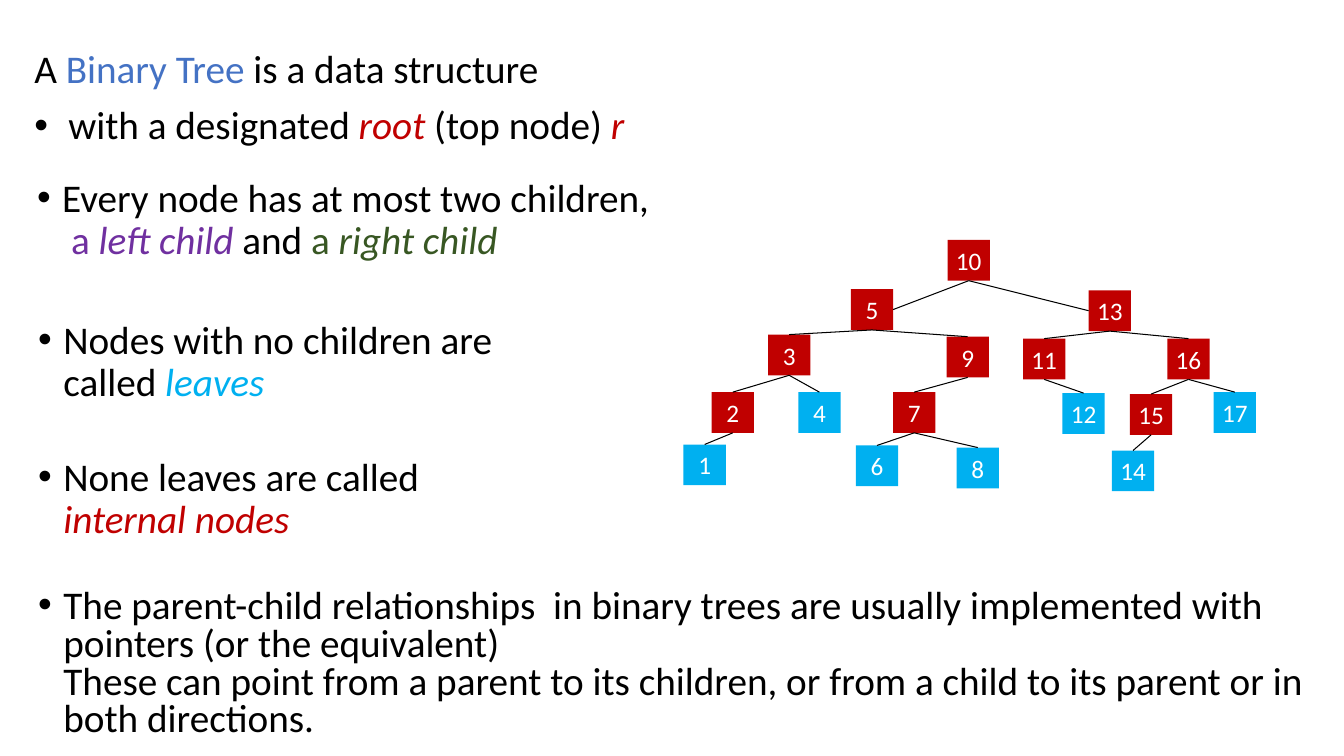
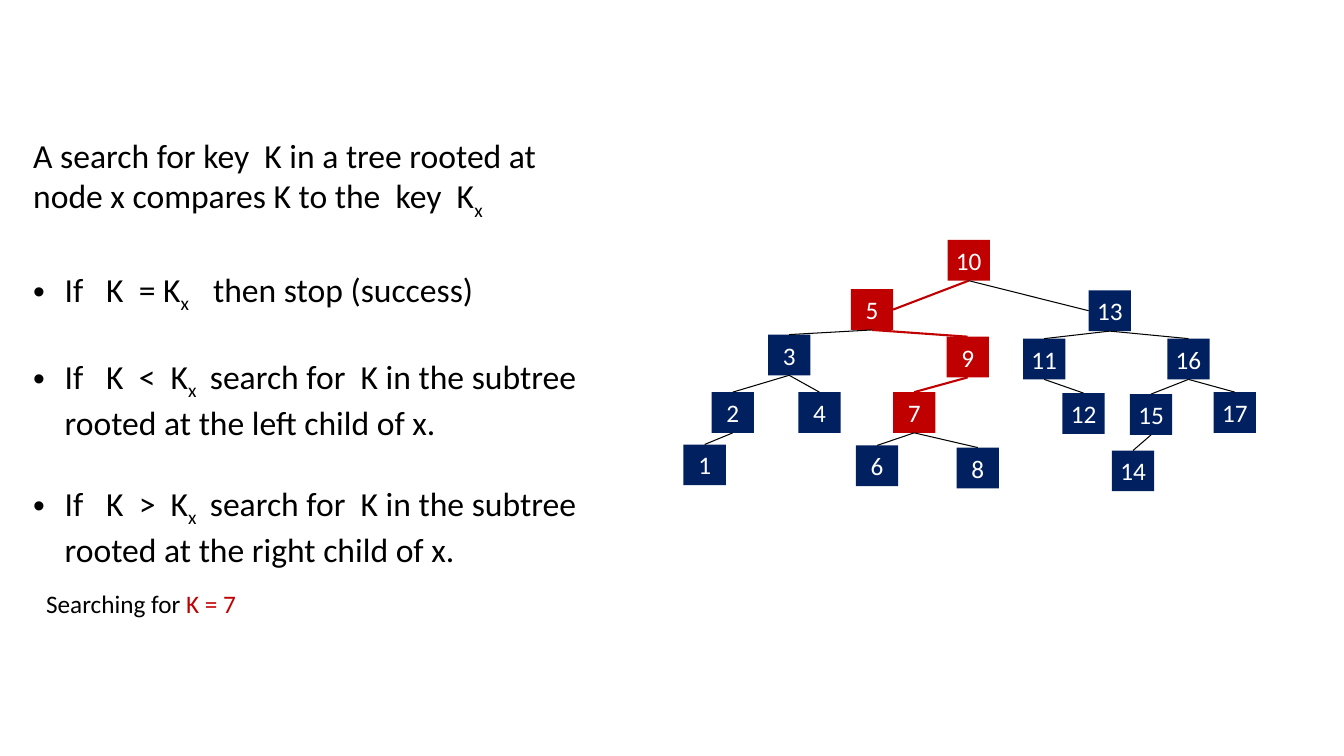
from pptx import Presentation
from pptx.dml.color import RGBColor
from pptx.enum import shapes, text
from pptx.oxml.xmlchemy import OxmlElement
from pptx.util import Pt

FONT = "Calibri"
COLORS = {
    "black": "000000", "white": "FFFFFF", "blue": "4472C4", "red": "C00000",
    "purple": "7030A0", "green": "385723", "sky": "00B0F0", "navy": "002060",
}
TITLE_AND_CONTENT, BLANK = 1, 6

# Tree: key -> left and top of its node
NODE_W, NODE_H = 30.24, 29.1
NODES = {
    10: (676.8, 171.4), 5: (607.7, 206.6), 13: (777.6, 207.4),
    3: (548.6, 239), 9: (676.1, 240.5), 11: (730.8, 241.9), 16: (833.8, 241.9),
    2: (508.3, 280.1), 4: (570.2, 280.1), 7: (637.9, 280.1),
    12: (758.9, 280.8), 15: (807.1, 281.5), 17: (866.9, 280.1),
    1: (488.2, 317.5), 6: (611.3, 318.2), 8: (683.3, 319.7), 14: (794.2, 321.8),
}
CHILDREN = {
    10: (5, 13), 5: (3, 9), 13: (11, 16), 3: (2, 4), 9: (7,),
    11: (12,), 16: (15, 17), 2: (1,), 7: (6, 8), 15: (14,),
}
ROOT = 10
TOP, LEFT, BOTTOM, RIGHT = range(4)  # connection sites of a rectangle


def rgb(name):
    return RGBColor.from_string(COLORS[name])


def add_run(p, words, size, color="black", style=""):
    """Add words to p; a newline becomes a line break."""
    for i, piece in enumerate(words.split("\n")):
        if i:
            p.add_line_break()
        if not piece:
            continue
        r = p.add_run()
        r.text = piece
        r.font.name, r.font.size = FONT, Pt(size)
        r.font.color.rgb = rgb(color)
        if style == "italic":
            r.font.italic = True
        elif style == "sub":
            r._r.get_or_add_rPr().set("baseline", "-25000")


def set_bullet(p, indent):
    """Hang a bullet by indent points; zero means no bullet."""
    pPr = p._p.get_or_add_pPr()
    pPr.set("marL", str(Pt(indent)))
    pPr.set("indent", str(-Pt(indent)))
    if not indent:
        pPr.append(OxmlElement("a:buNone"))
        return
    font, char = OxmlElement("a:buFont"), OxmlElement("a:buChar")
    font.set("typeface", "Arial")
    char.set("char", "•")
    pPr.append(font)
    pPr.append(char)


def add_paragraph(tf, runs, size, indent=0, before=0, spacing=1.0):
    p = tf.paragraphs[0]
    if p.runs:
        p = tf.add_paragraph()
    p.line_spacing, p.space_before = spacing, Pt(before)
    set_bullet(p, indent)
    for run in runs:
        add_run(p, run[0], size, *run[1:])


def add_text_box(s, left, top, width, height):
    tf = s.shapes.add_textbox(Pt(left), Pt(top), Pt(width), Pt(height)).text_frame
    tf.word_wrap = True
    return tf


def add_node(s, key, fill):
    left, top = NODES[key]
    sp = s.shapes.add_shape(shapes.MSO_SHAPE.RECTANGLE,
                            Pt(left), Pt(top), Pt(NODE_W), Pt(NODE_H))
    sp.name = f"Node {key}"
    sp.shadow.inherit = False
    sp.fill.solid()
    sp.fill.fore_color.rgb = rgb(fill)
    sp.line.fill.background()
    tf = sp.text_frame
    tf.word_wrap = False
    tf.vertical_anchor = text.MSO_ANCHOR.MIDDLE
    p = tf.paragraphs[0]
    p.alignment = text.PP_ALIGN.CENTER
    add_run(p, str(key), 18, "white")
    return sp


def add_edge(s, parent, child, site, color, width):
    line = s.shapes.add_connector(shapes.MSO_CONNECTOR.STRAIGHT, 0, 0, 0, 0)
    line.begin_connect(parent, BOTTOM)
    line.end_connect(child, site)
    line.line.color.rgb = rgb(color)
    line.line.width = Pt(width)
    line._element.spPr.append(OxmlElement("a:effectLst"))


def add_tree(s, fill_of, search_path=()):
    """Draw the tree; edges along search_path stand out."""
    nodes = {key: add_node(s, key, fill_of(key)) for key in NODES}
    for parent, children in CHILDREN.items():
        for child in children:
            site = TOP
            if parent == ROOT:
                site = RIGHT if child < parent else LEFT
            found = parent in search_path and child in search_path
            color, width = ("red", 1.5) if found else ("black", 0.75)
            add_edge(s, nodes[parent], nodes[child], site, color, width)


def definition_slide(prs):
    s = prs.slides.add_slide(prs.slide_layouts[TITLE_AND_CONTENT])
    title, body = s.placeholders
    title._element.getparent().remove(title._element)

    # Definition
    body.left, body.top, body.width, body.height = Pt(17.3), Pt(31.7), Pt(507), Pt(89.3)
    tf = body.text_frame
    tf.auto_size = text.MSO_AUTO_SIZE.NONE
    add_paragraph(tf, [("A ",), ("Binary Tree ", "blue"), ("is a data structure",)],
                  28, 0, 10, 0.9)
    add_paragraph(tf, [(" with a designated ",), ("root", "red", "italic"),
                       (" (top node) ",), ("r", "red", "italic")], 28, 18, 10, 0.9)

    add_tree(s, lambda key: "red" if key in CHILDREN else "sky")

    # Properties: box, line spacing, runs
    properties = [
        ((19.4, 123.8, 507, 83.5), 0.9,
         [("Every node has at most two children,\n ",), ("a ", "purple"),
          ("left child ", "purple", "italic"), ("and ",), ("a ", "green"),
          ("right child", "green", "italic")]),
        ((20.2, 225.4, 507, 83.5), 0.9,
         [("Nodes with no children are \ncalled ",), ("leaves", "sky", "italic")]),
        ((20.2, 323.3, 341.3, 83.5), 0.9,
         [("None leaves are called \n",), ("internal nodes", "red", "italic")]),
        ((20.2, 417.6, 920.2, 117.4), 0.8,
         [("The parent-child relationships  in binary trees are usually implemented "
           "with pointers (or the equivalent) \nThese can point from a parent to its "
           "children, or from a child to its parent or in both directions.",)]),
    ]
    for box, spacing, runs in properties:
        add_paragraph(add_text_box(s, *box), runs, 28, 18, 10, spacing)


def search_slide(prs):
    s = prs.slides.add_slide(prs.slide_layouts[BLANK])
    search_path = (10, 5, 9, 7)
    add_tree(s, lambda key: "red" if key in search_path else "navy", search_path)

    # Example
    tf = add_text_box(s, 25.9, 416.9, 414.7, 29)
    add_paragraph(tf, [("Searching for ",), ("K = 7", "red")], 18)

    # Search rule
    tf = add_text_box(s, 16.6, 92.9, 409.7, 326.9)
    add_paragraph(tf, [("A search for key  K in a tree rooted at node x compares K "
                        "to the  key  K",), ("x", "black", "sub")], 24)
    add_paragraph(tf, [("If   K  = K",), ("x  ", "black", "sub"),
                       ("  then stop (success)",)], 24, 22.5, 34)
    for sign, side in (("<", "left"), (">", "right")):
        add_paragraph(tf, [(f"If   K  {sign}  K",), ("x   ", "black", "sub"),
                           ("search for  K in the subtree rooted at the "
                            f"{side} child of x.",)], 24, 22.5, 29.3)


def main():
    prs = Presentation()
    prs.slide_width, prs.slide_height = Pt(960), Pt(540)
    definition_slide(prs)
    search_slide(prs)
    prs.save("out.pptx")


main()
